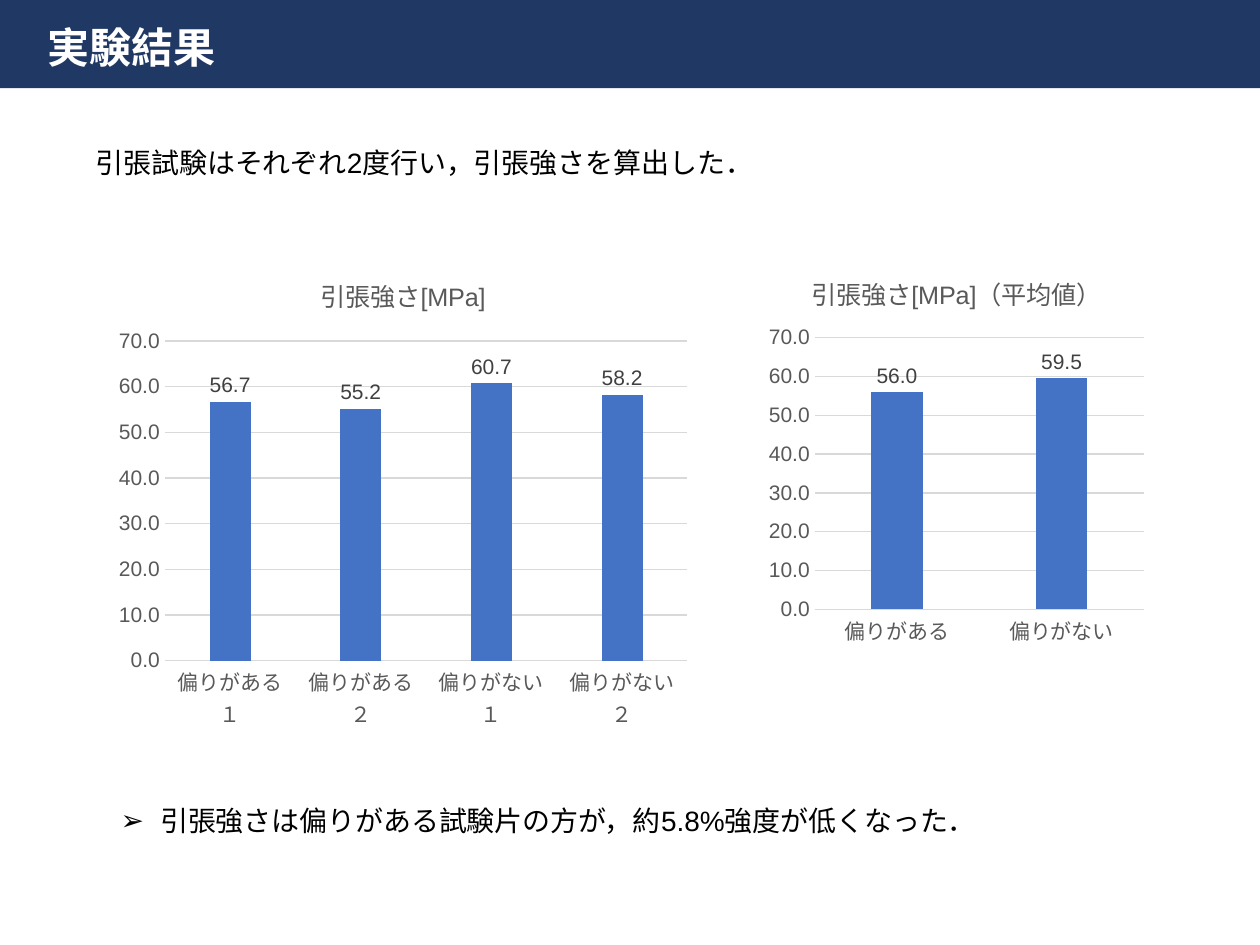
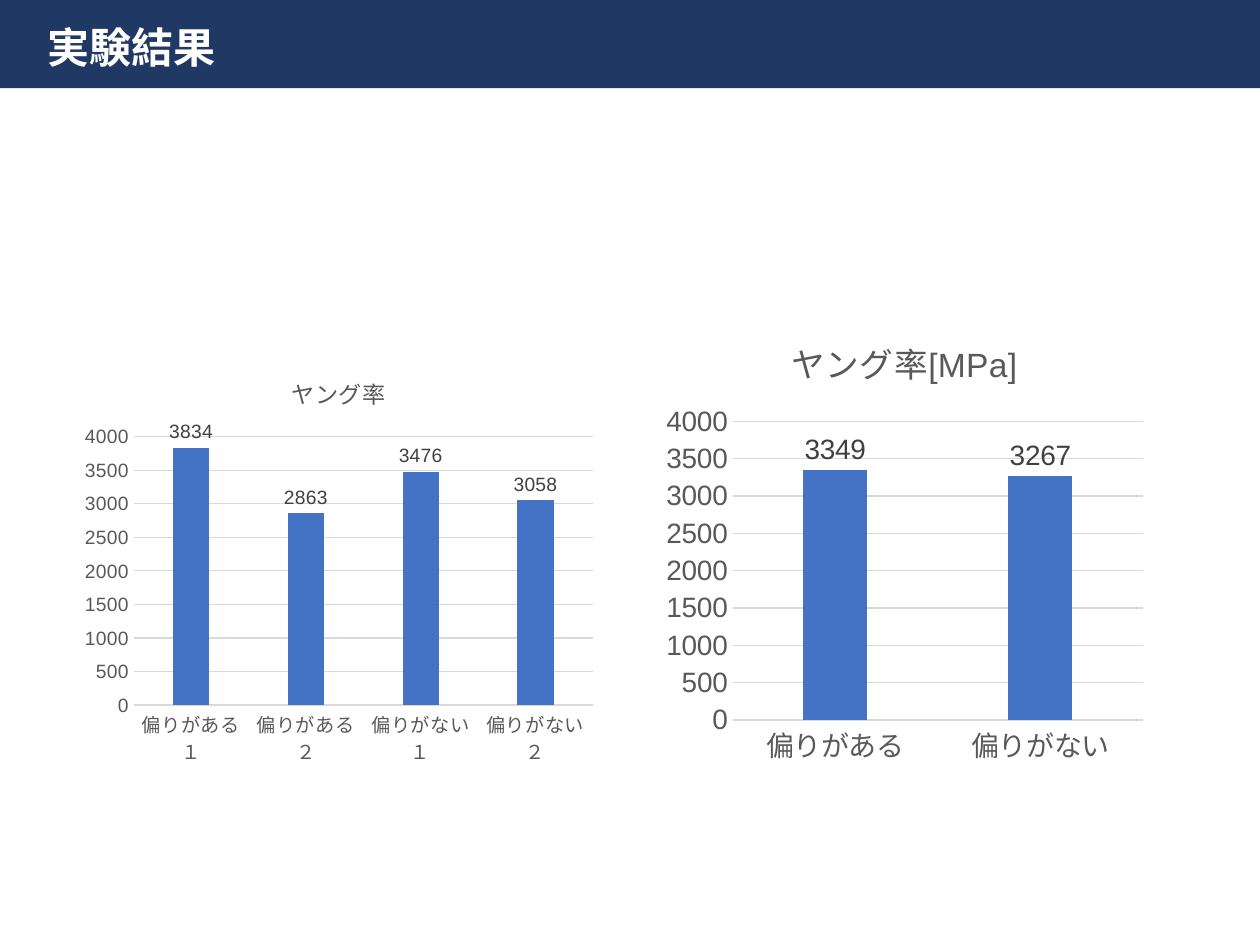
from dataclasses import dataclass
from lxml.etree import SubElement
from pptx import Presentation
from pptx.chart.data import CategoryChartData
from pptx.dml.color import RGBColor
from pptx.enum.chart import XL_CHART_TYPE, XL_LABEL_POSITION, XL_TICK_MARK
from pptx.enum.shapes import MSO_SHAPE
from pptx.enum.text import MSO_ANCHOR
from pptx.oxml.ns import qn
from pptx.util import Pt


@dataclass(frozen=True)
class Theme:
    font: str = "Arial"
    navy: RGBColor = RGBColor(0x20, 0x38, 0x64)
    white: RGBColor = RGBColor(0xFF, 0xFF, 0xFF)
    black: RGBColor = RGBColor(0, 0, 0)
    bar: RGBColor = RGBColor(0x44, 0x72, 0xC4)
    axis: RGBColor = RGBColor(0x59, 0x59, 0x59)
    label: RGBColor = RGBColor(0x40, 0x40, 0x40)
    grid: RGBColor = RGBColor(0xD9, 0xD9, 0xD9)
    title_size: float = 24
    body_size: float = 16
    chart_title_scale: float = 1.2


THEME = Theme()
SLIDE_SIZE = (720, 540)
BAND_BOX = (0, 0, 720, 50.4)
TITLE_BOX = (20.16, 5.04, 623.5, 46.8)
GROUPS = ["偏りがある", "偏りがない"]
SPECIMENS = [group + number for group in GROUPS for number in "１２"]


def apply(target, values):
    for name, value in values.items():
        setattr(target, name, value)


def style_font(font, size, color, bold=False):
    apply(font, {"name": THEME.font, "size": Pt(size), "bold": bold})
    font.color.rgb = color


def to_points(box):
    return [Pt(length) for length in box]


def add_text(page, box, text, size, color, bold=False, anchor=MSO_ANCHOR.TOP):
    frame = page.shapes.add_textbox(*to_points(box)).text_frame
    apply(frame, {"word_wrap": True, "vertical_anchor": anchor})
    para = frame.paragraphs[0]
    span = para.add_run()
    span.text = text
    style_font(span.font, size, color, bold)
    return para


def add_bullet(para, symbol, indent):
    properties = para._p.get_or_add_pPr()
    properties.set("marL", str(Pt(indent)))
    properties.set("indent", str(-Pt(indent)))
    SubElement(properties, qn("a:buFont"), typeface=THEME.font)
    SubElement(properties, qn("a:buChar"), char=symbol)


def add_header(page, title):
    band = page.shapes.add_shape(MSO_SHAPE.RECTANGLE, *to_points(BAND_BOX))
    band.shadow.inherit = False
    band.fill.solid()
    band.fill.fore_color.rgb = THEME.navy
    band.line.fill.background()
    para = add_text(page, TITLE_BOX, title, THEME.title_size, THEME.white, True, MSO_ANCHOR.MIDDLE)
    para.line_spacing = 0.9


def style_axes(chart, size, number_format, top, step):
    for axis in (chart.category_axis, chart.value_axis):
        apply(axis, {"major_tick_mark": XL_TICK_MARK.NONE, "minor_tick_mark": XL_TICK_MARK.NONE})
        style_font(axis.tick_labels.font, size, THEME.axis)
    chart.category_axis.has_major_gridlines = False
    values = chart.value_axis
    apply(values, {"minimum_scale": 0, "maximum_scale": top, "major_unit": step, "has_major_gridlines": True})
    apply(values.tick_labels, {"number_format": number_format, "number_format_is_linked": False})
    values.format.line.fill.background()
    for line in (chart.category_axis.format.line, values.major_gridlines.format.line):
        line.color.rgb = THEME.grid
        line.width = Pt(0.75)


def add_bar_chart(page, box, title, series_name, categories, values, size, number_format, top, step):
    data = CategoryChartData(number_format=number_format)
    data.categories = categories
    data.add_series(series_name, values)
    chart = page.shapes.add_chart(XL_CHART_TYPE.COLUMN_CLUSTERED, *to_points(box), data).chart
    style_font(chart.font, size, THEME.black)
    apply(chart, {"has_legend": False, "has_title": True})
    chart.chart_title.include_in_layout = False
    span = chart.chart_title.text_frame.paragraphs[0].add_run()
    span.text = title
    style_font(span.font, size * THEME.chart_title_scale, THEME.axis)
    style_axes(chart, size, number_format, top, step)
    plot = chart.plots[0]
    apply(plot, {"gap_width": 219, "overlap": -27, "vary_by_categories": False, "has_data_labels": True})
    apply(plot.data_labels, {
        "show_value": True,
        "position": XL_LABEL_POSITION.OUTSIDE_END,
        "number_format": number_format,
        "number_format_is_linked": False,
    })
    style_font(plot.data_labels.font, size, THEME.label)
    fill = plot.series[0].format.fill
    fill.solid()
    fill.fore_color.rgb = THEME.bar


def add_strength_page(page):
    add_header(page, "実験結果")
    add_text(page, (47.52, 79.92, 596.2, 26.64), "引張試験はそれぞれ2度行い，引張強さを算出した．", THEME.body_size, THEME.black)
    scale = {"size": 12, "number_format": "0.0", "top": 70, "step": 10}
    name = "引張強さ[MPa]"
    add_bar_chart(page, (434.88, 144.72, 223.2, 228.96), name + "（平均値）", name, GROUPS, [56.0, 59.5], **scale)
    add_bar_chart(page, (61.2, 144.72, 338.4, 277.2), name, name, SPECIMENS, [56.7, 55.2, 60.7, 58.2], **scale)
    finding = add_text(
        page, (61.92, 455.76, 596.2, 26.64),
        "引張強さは偏りがある試験片の方が，約5.8%強度が低くなった．", THEME.body_size, THEME.black,
    )
    add_bullet(finding, "➢", 22.5)


def add_modulus_page(page):
    add_header(page, "実験結果")
    scale = {"number_format": "0", "top": 4000, "step": 500}
    name = "ヤング率"
    add_bar_chart(page, (42.48, 202.32, 302.4, 239.76), name, name, SPECIMENS, [3834, 2863, 3476, 3058], size=11, **scale)
    add_bar_chart(page, (375.12, 178.56, 283.68, 263.52), name + "[MPa]", name, GROUPS, [3349, 3267], size=16, **scale)


def main():
    deck = Presentation()
    apply(deck, dict(zip(("slide_width", "slide_height"), to_points(SLIDE_SIZE))))
    for build in (add_strength_page, add_modulus_page):
        build(deck.slides.add_slide(deck.slide_layouts[6]))
    deck.save("out.pptx")


if __name__ == "__main__":
    main()
